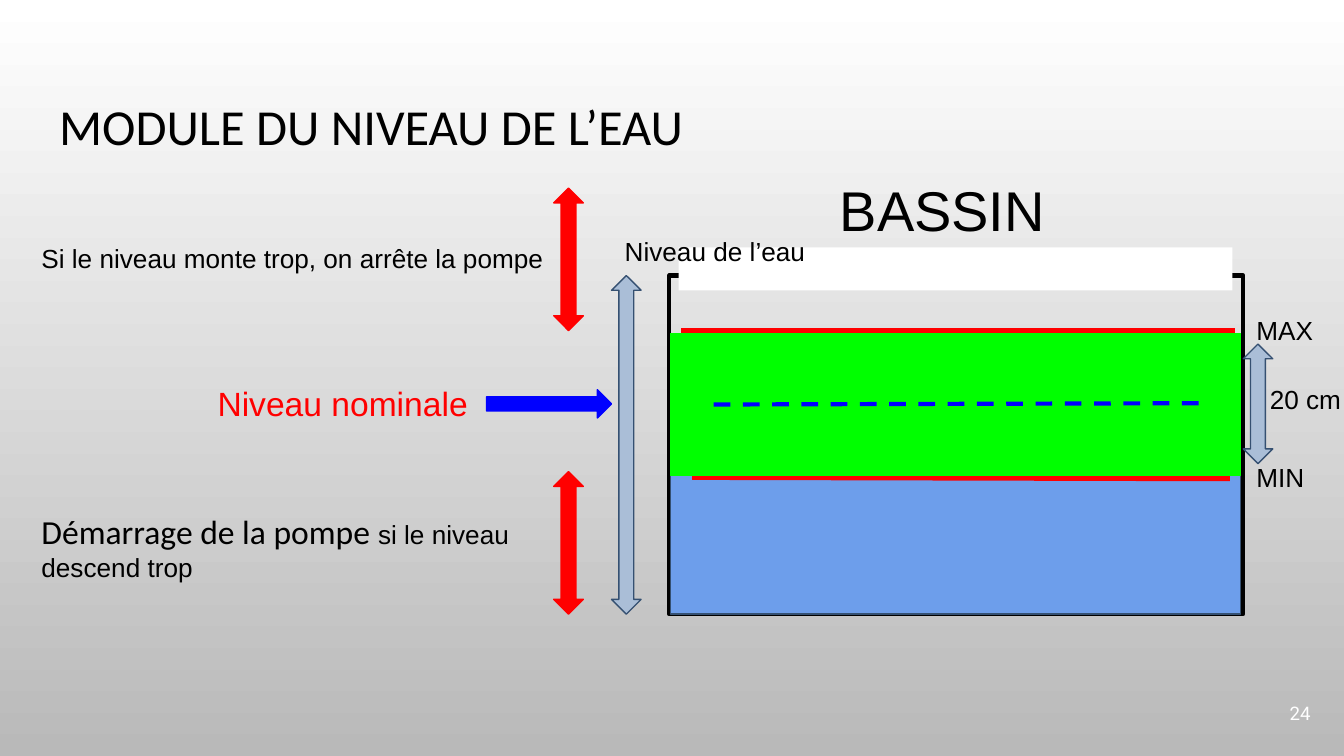
from pptx import Presentation
from pptx.dml.color import RGBColor
from pptx.enum.dml import MSO_LINE
from pptx.enum.shapes import MSO_CONNECTOR, MSO_SHAPE
from pptx.enum.text import MSO_ANCHOR, MSO_AUTO_SIZE, PP_ALIGN
from pptx.oxml.ns import qn
from pptx.util import Inches, Pt
from lxml import etree

BLACK, WHITE, RED, BLUE, GREEN = "000000", "FFFFFF", "FF0000", "0000FF", "00FF00"
STEEL, NAVY, WATER = "AABED7", "355071", "6D9EEB"
RECT, UPDOWN = MSO_SHAPE.RECTANGLE, MSO_SHAPE.UP_DOWN_ARROW


def paint(color, code):
    color.rgb = RGBColor.from_string(code)


def style(font, size, code=BLACK, name="Arial"):
    font.size, font.name, font.bold = Pt(size), name, False
    paint(font.color, code)


def place(item, box):
    item.left, item.top, item.width, item.height = map(Inches, box)


def frame(item, anchor=MSO_ANCHOR.TOP):
    """Give the text frame even margins, wrapping and a fixed size."""
    body = item.text_frame
    body.margin_left = body.margin_right = Inches(0.1)
    body.margin_top = body.margin_bottom = Inches(0.1)
    body.word_wrap = True
    body.auto_size = MSO_AUTO_SIZE.NONE
    body.vertical_anchor = anchor
    return body


def add_bg(slide):
    fill = slide.background.fill
    fill.gradient()
    fill.gradient_angle = 270
    for stop, code in zip(fill.gradient_stops, (WHITE, "B9B9B9")):
        paint(stop.color, code)


def add_title(slide, text, box):
    title = slide.shapes.title
    place(title, box)
    body = frame(title)
    body.text = text
    para = body.paragraphs[0]
    para.alignment = PP_ALIGN.LEFT
    style(para.font, 27, name="Calibri")


def add_form(slide, kind, box, fill=None, line=None, width=0.75):
    form = slide.shapes.add_shape(kind, *map(Inches, box))
    form.shadow.inherit = False
    if fill:
        form.fill.solid()
        paint(form.fill.fore_color, fill)
    else:
        form.fill.background()
    if line:
        paint(form.line.color, line)
        form.line.width = Pt(width)
    else:
        form.line.fill.background()


def add_line(slide, ends, code, width, dash=None):
    line = slide.shapes.add_connector(MSO_CONNECTOR.STRAIGHT, *map(Inches, ends))
    paint(line.line.color, code)
    line.line.width = Pt(width)
    if dash:
        line.line.dash_style = dash
    etree.SubElement(line._element.spPr, qn("a:effectLst"))


def add_text(slide, text, box, size=14, code=BLACK):
    label = slide.shapes.add_textbox(*map(Inches, box))
    para = frame(label).paragraphs[0]
    para.text = text
    style(para.font, size, code)


def add_start(slide, box):
    """Add the pump start note, whose two parts differ in font."""
    note = slide.shapes.add_textbox(*map(Inches, box))
    para = frame(note).paragraphs[0]
    parts = (("Démarrage de la pompe ", 18, "Calibri"),
             ("si le niveau descend trop", 14, "Arial"))
    for text, size, name in parts:
        run = para.add_run()
        run.text = text
        style(run.font, size, name=name)


def add_number(slide, text, box):
    label = slide.shapes.add_textbox(*map(Inches, box))
    para = frame(label, MSO_ANCHOR.MIDDLE).paragraphs[0]
    para.text = text
    para.alignment = PP_ALIGN.RIGHT
    style(para.font, 10, WHITE, "Roboto")


def add_basin(slide):
    add_form(slide, RECT, (4.98, 2.05, 4.27, 2.52), line=BLACK, width=2.25)
    add_form(slide, RECT, (5.05, 1.84, 4.12, 0.32), WHITE)
    add_form(slide, RECT, (4.99, 3.08, 4.24, 1.49), WATER, NAVY)
    add_line(slide, (5.15, 3.55, 9.15, 3.56), RED, 3)
    add_line(slide, (5.07, 2.46, 9.19, 2.46), RED, 3)
    add_form(slide, RECT, (4.99, 2.48, 4.24, 1.06), GREEN, GREEN)
    add_line(slide, (5.31, 3.01, 8.92, 3), BLUE, 2.25, MSO_LINE.DASH)


def add_arrows(slide):
    for left, top, height in ((4.55, 2.05, 2.52), (9.25, 2.56, 0.89)):
        add_form(slide, UPDOWN, (left, top, 0.22, height), STEEL, NAVY)
    for top in (1.4, 3.51):
        add_form(slide, UPDOWN, (4.12, top, 0.22, 1.06), RED, RED)
    add_form(slide, MSO_SHAPE.RIGHT_ARROW, (3.62, 2.9, 0.93, 0.21), BLUE, BLUE)


def add_labels(slide):
    add_text(slide, "BASSIN", (6.15, 1.21, 1.93, 0.74), 30)
    add_text(slide, "Niveau nominale", (1.52, 2.75, 2.18, 0.66), 18, RED)
    add_text(slide, "Niveau de l’eau", (4.55, 1.65, 2.67, 0.45))
    add_text(slide, "MAX", (9.25, 2.24, 0.68, 0.45))
    add_text(slide, "MIN", (9.25, 3.33, 0.68, 0.45))
    add_text(slide, "20 cm", (9.35, 2.75, 1.66, 0.32))
    add_text(slide, "Si le niveau monte trop, on arrête la pompe",
             (0.21, 1.7, 4.12, 0.62))
    add_start(slide, (0.21, 3.7, 3.71, 0.45))


def main():
    deck = Presentation()
    deck.slide_width = Inches(10)
    deck.slide_height = Inches(10) * 9 // 16
    slide = deck.slides.add_slide(deck.slide_layouts[5])
    add_bg(slide)
    add_title(slide, "MODULE DU NIVEAU DE L’EAU", (0.34, 0.61, 9.32, 0.66))
    add_basin(slide)
    add_arrows(slide)
    add_labels(slide)
    add_number(slide, "24", (9.25, 5.09, 0.6, 0.43))
    deck.save("out.pptx")


if __name__ == "__main__":
    main()
